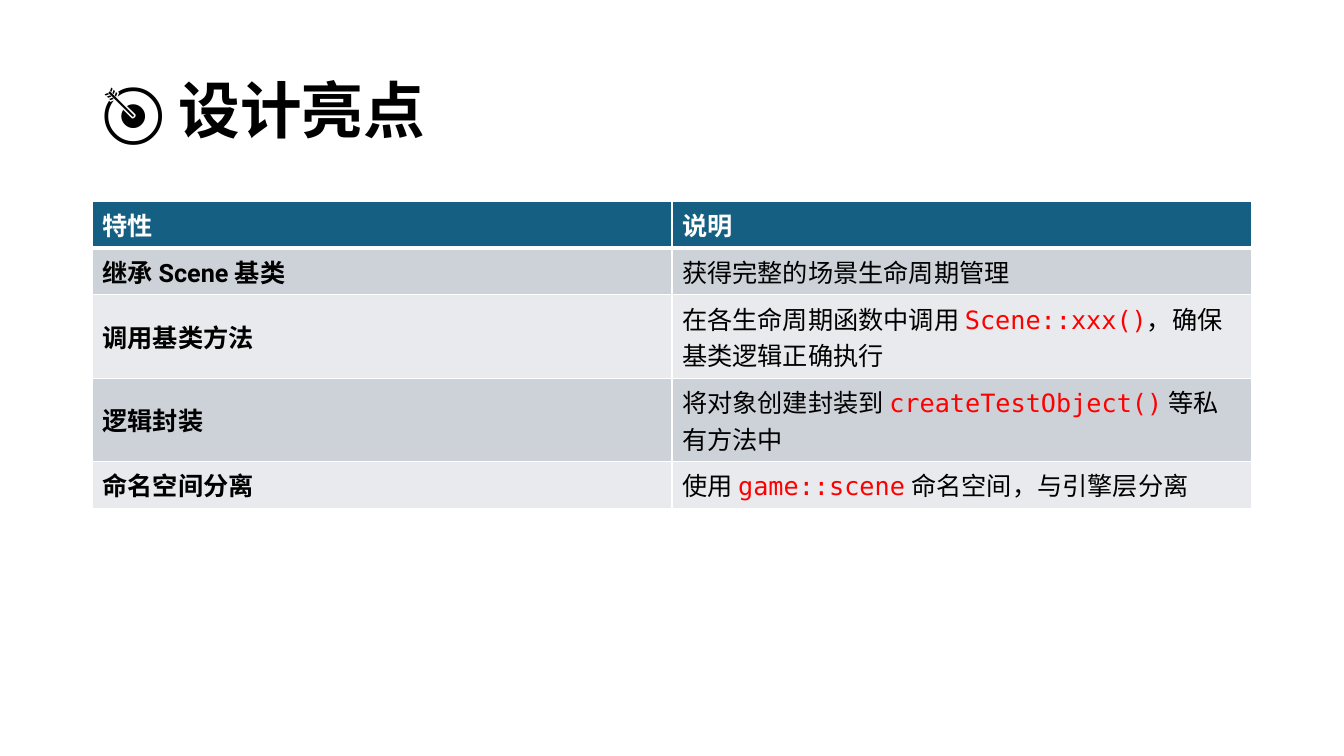
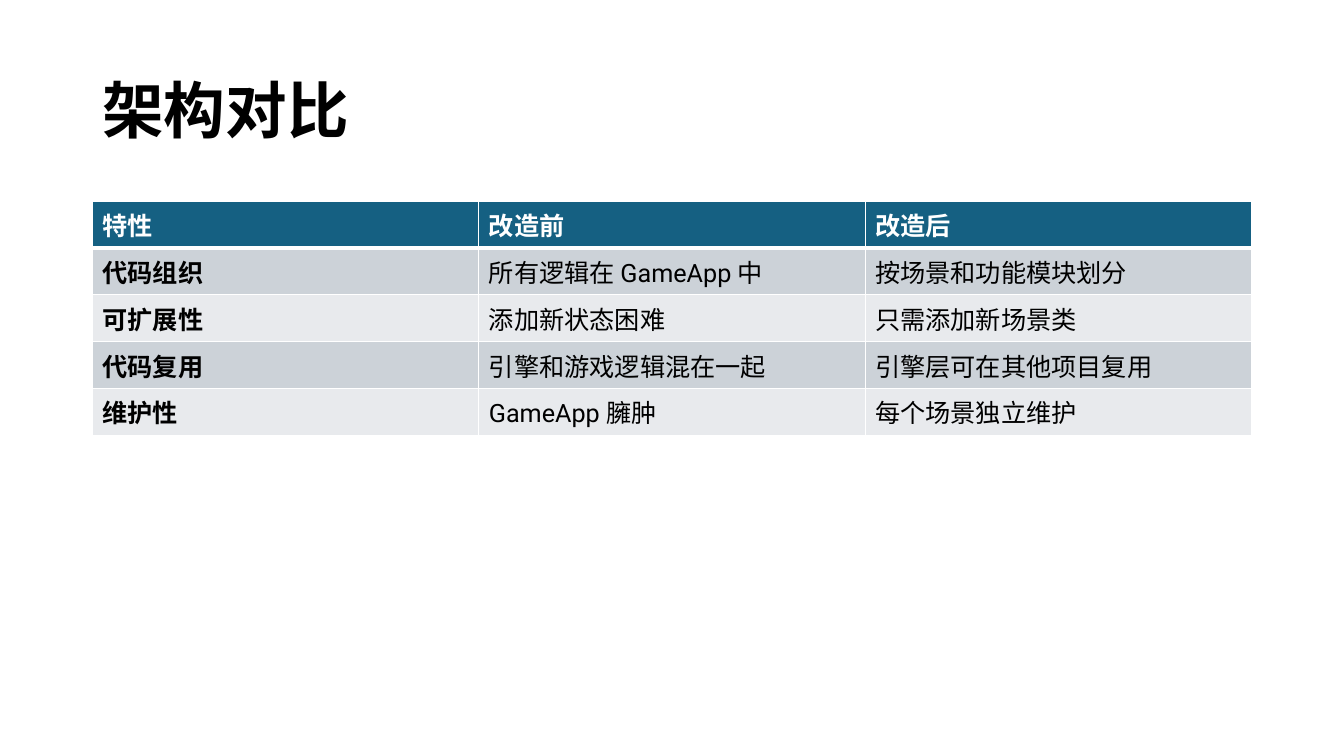
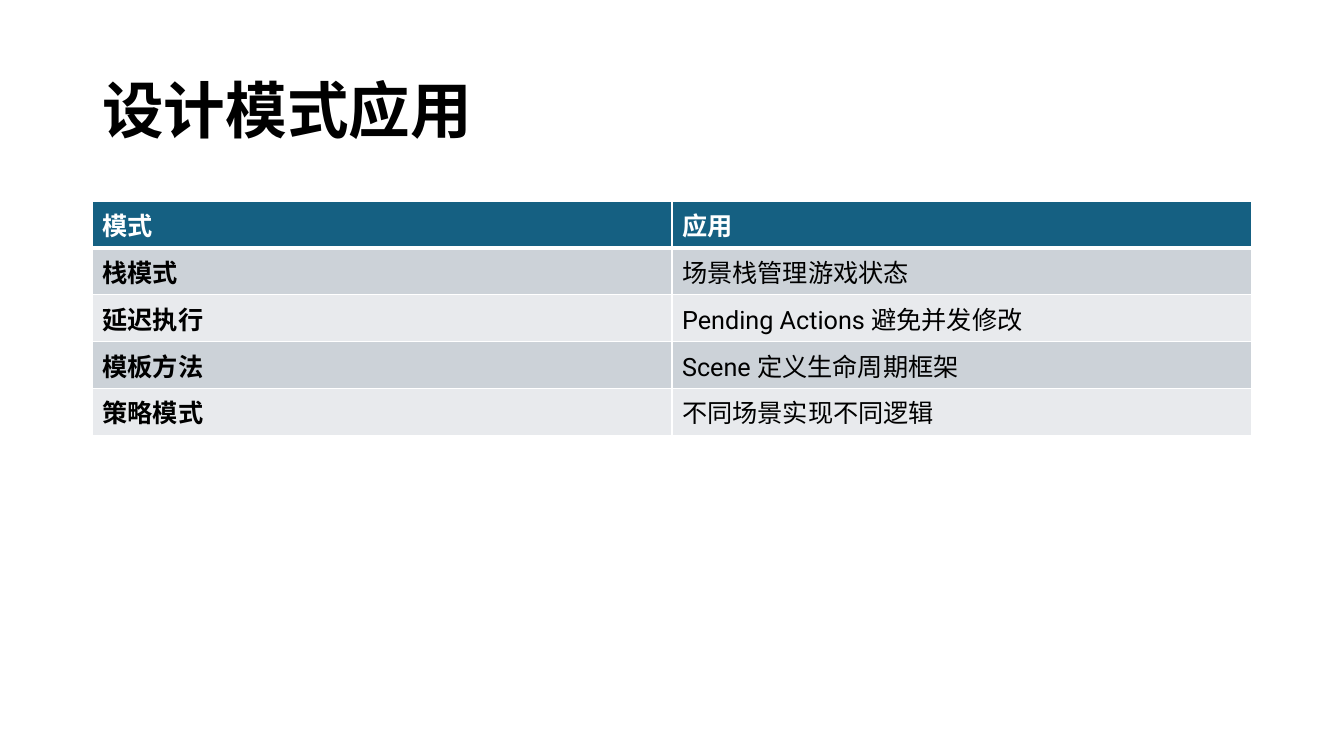
from lxml import etree
from pptx import Presentation
from pptx.dml.color import RGBColor
from pptx.enum.text import MSO_ANCHOR
from pptx.oxml.ns import qn
from pptx.util import Cm, Pt

MIDDLE = MSO_ANCHOR.MIDDLE
BLACK = RGBColor(0x00, 0x00, 0x00)
WHITE = RGBColor(0xFF, 0xFF, 0xFF)
RED = RGBColor(0xFF, 0x00, 0x00)
TEAL = RGBColor(0x15, 0x60, 0x82)
BANDS = [RGBColor(0xE8, 0xEA, 0xED), RGBColor(0xCC, 0xD2, 0xD8)]
FONT = "Roboto"
MONO = "DejaVu Sans Mono"
LEFT, WIDTH = Cm(2.33), Cm(29.21)
ROW, TALL = Cm(1.18), Cm(2.1)
LONG = 30  # a cell with more letters than this takes two lines

# Text between backticks is code.
SLIDES = [
    ("🎯 设计亮点", [
        ["特性", "说明"],
        ["继承 Scene 基类", "获得完整的场景生命周期管理"],
        ["调用基类方法", "在各生命周期函数中调用 `Scene::xxx()`，确保基类逻辑正确执行"],
        ["逻辑封装", "将对象创建封装到 `createTestObject()` 等私有方法中"],
        ["命名空间分离", "使用 `game::scene` 命名空间，与引擎层分离"],
    ]),
    ("架构对比", [
        ["特性", "改造前", "改造后"],
        ["代码组织", "所有逻辑在 GameApp 中", "按场景和功能模块划分"],
        ["可扩展性", "添加新状态困难", "只需添加新场景类"],
        ["代码复用", "引擎和游戏逻辑混在一起", "引擎层可在其他项目复用"],
        ["维护性", "GameApp 臃肿", "每个场景独立维护"],
    ]),
    ("设计模式应用", [
        ["模式", "应用"],
        ["栈模式", "场景栈管理游戏状态"],
        ["延迟执行", "Pending Actions 避免并发修改"],
        ["模板方法", "Scene 定义生命周期框架"],
        ["策略模式", "不同场景实现不同逻辑"],
    ]),
]


def style(font, size, color, bold, name=FONT):
    font.name = name
    font.size = Pt(size)
    font.color.rgb = color
    font.bold = bold


def add_border(cell, side, width):
    props = cell._tc.get_or_add_tcPr()
    line = etree.SubElement(props, qn(f"a:ln{side}"), w=str(Pt(width)))
    fill = etree.SubElement(line, qn("a:solidFill"))
    etree.SubElement(fill, qn("a:srgbClr"), val=str(WHITE))


prs = Presentation()
prs.slide_width, prs.slide_height = Cm(33.87), Cm(19.05)

for title, rows in SLIDES:
    slide = prs.slides.add_slide(prs.slide_layouts[6])

    frame = slide.shapes.add_textbox(LEFT, Cm(1.01), WIDTH, Cm(3.68)).text_frame
    frame.word_wrap = True
    frame.vertical_anchor = MIDDLE
    para = frame.paragraphs[0]
    para.text = title
    para.line_spacing = 0.9
    style(para.font, 44, BLACK, True)

    count = len(rows[0])
    highs = [TALL if len(max(texts, key=len)) > LONG else ROW for texts in rows]
    table = slide.shapes.add_table(
        len(rows), count, LEFT, Cm(5.07), WIDTH, sum(highs)).table
    table.first_row = table.horz_banding = False
    for col in table.columns:
        col.width = WIDTH // count

    for r, texts in enumerate(rows):
        table.rows[r].height = highs[r]
        head = r == 0
        for c, text in enumerate(texts):
            cell = table.cell(r, c)
            cell.vertical_anchor = MIDDLE
            # The rule under the header is thicker.
            for side, width in (("L", 1), ("R", 1),
                                ("T", 3 if r == 1 else 1),
                                ("B", 3 if head else 1)):
                add_border(cell, side, width)
            cell.fill.solid()
            cell.fill.fore_color.rgb = TEAL if head else BANDS[r % 2]

            para = cell.text_frame.paragraphs[0]
            style(para.font, 18, WHITE if head else BLACK, head or c == 0)
            for i, part in enumerate(text.split("`")):
                run = para.add_run()
                run.text = part
                if i % 2:
                    style(run.font, 18, RED, False, MONO)

prs.save("out.pptx")
